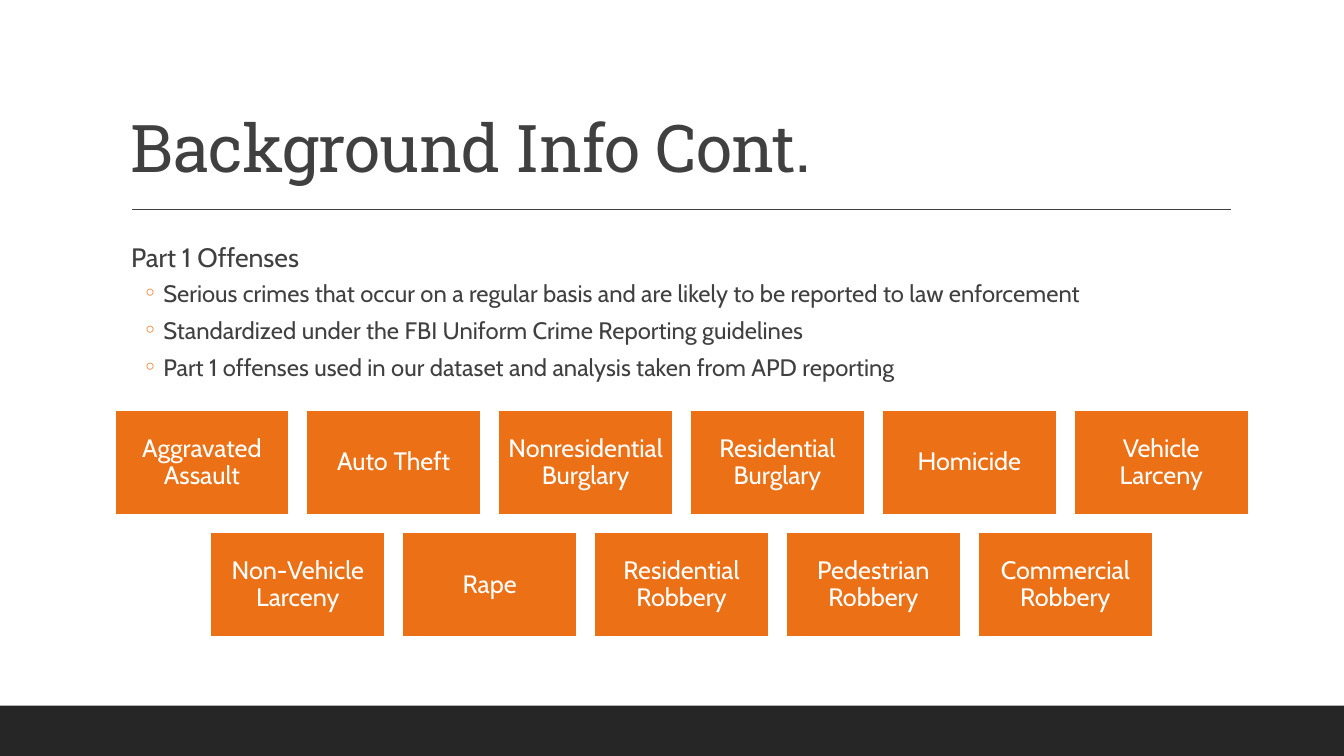
from pptx import Presentation
from pptx.dml.color import RGBColor
from pptx.enum.shapes import MSO_CONNECTOR, MSO_SHAPE
from pptx.enum.text import MSO_ANCHOR, PP_ALIGN
from pptx.oxml.ns import qn
from pptx.util import Inches, Pt
from lxml import etree

RECTANGLE = MSO_SHAPE.RECTANGLE
STRAIGHT = MSO_CONNECTOR.STRAIGHT
TOP, MIDDLE, BOTTOM = MSO_ANCHOR.TOP, MSO_ANCHOR.MIDDLE, MSO_ANCHOR.BOTTOM
LEFT, CENTER = PP_ALIGN.LEFT, PP_ALIGN.CENTER

WHITE = RGBColor(0xFF, 0xFF, 0xFF)
ORANGE = RGBColor(0xEC, 0x70, 0x16)
GRAY = RGBColor(0x40, 0x40, 0x40)
BLACK = RGBColor(0x26, 0x26, 0x26)

TRAITS = [
    "Serious crimes that occur on a regular basis and are likely to be reported to law enforcement",
    "Standardized under the FBI Uniform Crime Reporting guidelines",
    "Part 1 offenses used in our dataset and analysis taken from APD reporting",
]
OFFENSE_ROWS = [
    ["Aggravated Assault", "Auto Theft", "Nonresidential Burglary",
     "Residential Burglary", "Homicide", "Vehicle Larceny"],
    ["Non-Vehicle Larceny", "Rape", "Residential Robbery",
     "Pedestrian Robbery", "Commercial Robbery"],
]
TILE_WIDTH, TILE_HEIGHT = 1.73, 1.04
TILE_GAP = TILE_WIDTH / 10
TILES_CENTER, TILES_TOP = 6.76, 4.07


def write_paragraph(paragraph, text, size, font="Cabin", color=GRAY, align=LEFT,
                    line_spacing=1.0, before=0, after=0, margin=0, hanging=0,
                    bullet=None, tracking=None):
    paragraph.alignment = align
    paragraph.line_spacing = line_spacing
    paragraph.space_before = Pt(before)
    paragraph.space_after = Pt(after)
    run = paragraph.add_run()
    run.text = text
    run.font.size = Pt(size)
    run.font.name = font
    run.font.color.rgb = color
    if tracking:
        run.font._element.set("spc", str(int(tracking * 100)))
    properties = paragraph._p.get_or_add_pPr()
    properties.set("marL", str(Inches(margin)))
    properties.set("indent", str(Inches(-hanging)))
    if bullet:
        bullet_color = etree.SubElement(properties, qn("a:buClr"))
        etree.SubElement(bullet_color, qn("a:srgbClr"), val=str(ORANGE))
        etree.SubElement(properties, qn("a:buFont"), typeface="Cabin")
        etree.SubElement(properties, qn("a:buChar"), char=bullet)


class SlideBuilder:
    """Holds the current slide and adds styled elements to it."""

    def __init__(self, slide):
        self.slide = slide

    def prepare_frame(self, shape, anchor, side, vertical):
        frame = shape.text_frame
        frame.word_wrap = True
        frame.vertical_anchor = anchor
        frame.margin_left = frame.margin_right = Inches(side)
        frame.margin_top = frame.margin_bottom = Inches(vertical)
        return frame

    def text_box(self, left, top, width, height, anchor=TOP, side=0.1):
        shape = self.slide.shapes.add_textbox(
            Inches(left), Inches(top), Inches(width), Inches(height))
        return self.prepare_frame(shape, anchor, side, 0.05)

    def rectangle(self, left, top, width, height, fill, outline=None):
        shape = self.slide.shapes.add_shape(
            RECTANGLE, Inches(left), Inches(top), Inches(width), Inches(height))
        shape.shadow.inherit = False
        shape.fill.solid()
        shape.fill.fore_color.rgb = fill
        if outline is None:
            shape.line.fill.background()
        else:
            shape.line.color.rgb = outline
            shape.line.width = Pt(1.25)
        return shape

    def rule(self, left, right, top):
        connector = self.slide.shapes.add_connector(
            STRAIGHT, Inches(left), Inches(top), Inches(right), Inches(top))
        connector.line.color.rgb = GRAY
        connector.line.width = Pt(1)
        etree.SubElement(connector._element.spPr, qn("a:effectLst"))

    def tile(self, left, top, text):
        shape = self.rectangle(left, top, TILE_WIDTH, TILE_HEIGHT, ORANGE, WHITE)
        frame = self.prepare_frame(shape, MIDDLE, 0.07, 0.07)
        write_paragraph(frame.paragraphs[0], text, 18, color=WHITE,
                        align=CENTER, line_spacing=0.9)


def main():
    presentation = Presentation()
    presentation.slide_width = Inches(13.33)
    presentation.slide_height = Inches(7.5)
    slide = presentation.slides.add_slide(presentation.slide_layouts[6])
    builder = SlideBuilder(slide)

    # Footer band and title rule
    builder.rectangle(0, 7, 13.33, 0.5, BLACK)
    builder.rule(1.31, 12.21, 2.08)

    # Title
    title = builder.text_box(1.2, 0.31, 11, 1.59, anchor=BOTTOM)
    write_paragraph(title.paragraphs[0], "Background Info Cont.", 47,
                    font="Roboto Slab", line_spacing=0.9, tracking=-0.5)

    # Description of the offenses
    body = builder.text_box(1.2, 2.31, 11, 1.66, side=0)
    write_paragraph(body.paragraphs[0], "Part 1 Offenses", 19,
                    line_spacing=1.1, before=12, after=2, margin=0.1)
    for trait in TRAITS:
        write_paragraph(body.add_paragraph(), trait, 17, before=2, after=4,
                        margin=0.42, hanging=0.2, bullet="◦")

    # Offense tiles, each row centered
    for row, offenses in enumerate(OFFENSE_ROWS):
        row_width = len(offenses) * (TILE_WIDTH + TILE_GAP) - TILE_GAP
        top = TILES_TOP + row * (TILE_HEIGHT + TILE_GAP)
        for column, offense in enumerate(offenses):
            left = TILES_CENTER - row_width / 2 + column * (TILE_WIDTH + TILE_GAP)
            builder.tile(left, top, offense)

    presentation.save("out.pptx")


if __name__ == "__main__":
    main()
